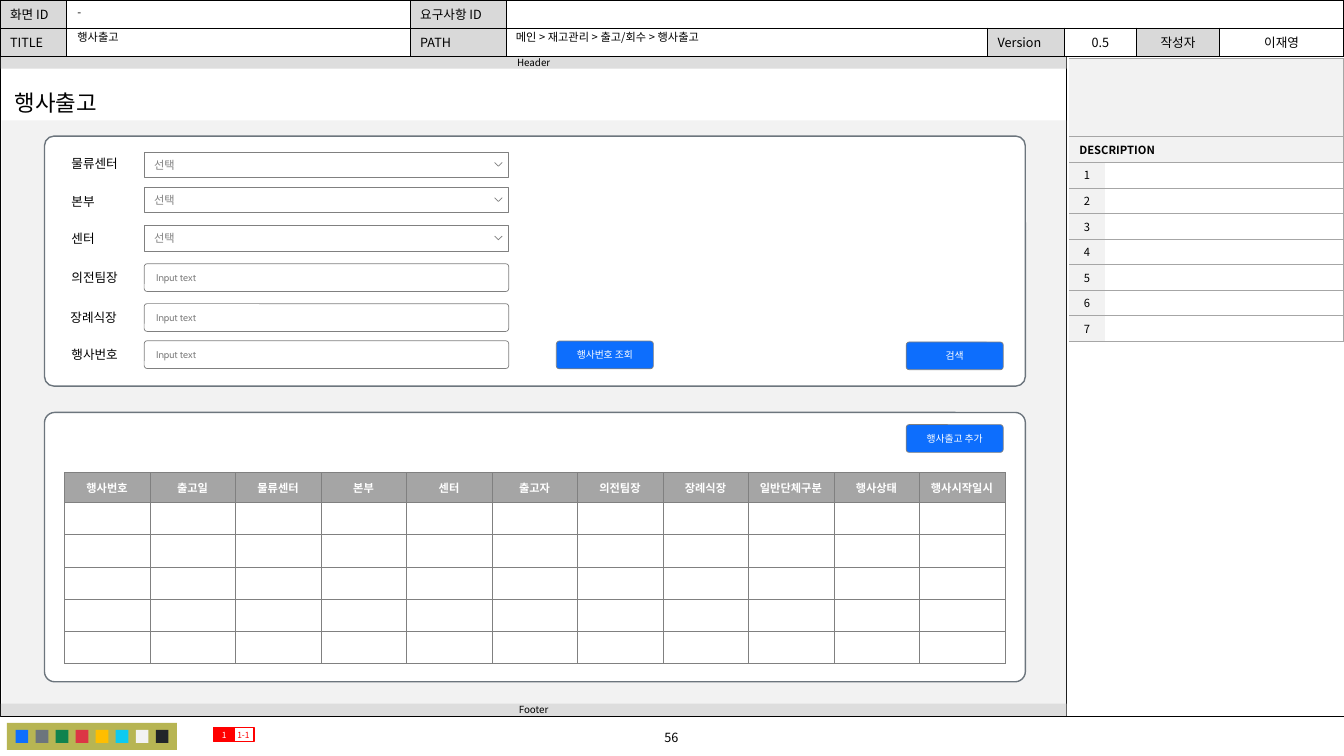
"""Build the event release screen specification slide."""
from lxml import etree
from pptx import Presentation
from pptx.dml.color import RGBColor
from pptx.enum.shapes import MSO_CONNECTOR, MSO_SHAPE
from pptx.enum.text import MSO_ANCHOR, PP_ALIGN
from pptx.oxml.ns import qn
from pptx.util import Pt

RECT, ROUND = MSO_SHAPE.RECTANGLE, MSO_SHAPE.ROUNDED_RECTANGLE
LINE = MSO_CONNECTOR.STRAIGHT
MIDDLE = MSO_ANCHOR.MIDDLE
LEFT, CENTER = PP_ALIGN.LEFT, PP_ALIGN.CENTER
NOTO, CABIN = "Noto Sans CJK KR", "Cabin"

BLACK = RGBColor(0x00, 0x00, 0x00)
WHITE = RGBColor(0xFF, 0xFF, 0xFF)
PALE = RGBColor(0xF2, 0xF2, 0xF2)
BAR = RGBColor(0xDD, 0xDD, 0xDD)
LABEL = RGBColor(0xD9, 0xD9, 0xD9)
HEAD = RGBColor(0xA5, 0xA5, 0xA5)
RULE = RGBColor(0xA6, 0xA6, 0xA6)
GRAY = RGBColor(0x80, 0x80, 0x80)
SLATE = RGBColor(0x6C, 0x75, 0x7D)
BLUE = RGBColor(0x0D, 0x6E, 0xFD)
RED = RGBColor(0xFF, 0x00, 0x00)
OLIVE = RGBColor(0xB7, 0xB5, 0x53)
GREEN = RGBColor(0x10, 0x83, 0x4E)
ROSE = RGBColor(0xDC, 0x35, 0x45)
AMBER = RGBColor(0xFF, 0xBE, 0x00)
CYAN = RGBColor(0x0D, 0xCA, 0xF0)
DARK = RGBColor(0x21, 0x25, 0x29)

deck = Presentation()
deck.slide_width, deck.slide_height = Pt(960), Pt(540)
shapes = deck.slides.add_slide(deck.slide_layouts[6]).shapes


def write(frame, text, size, color=BLACK, align=LEFT, bold=False, name=NOTO):
    para = frame.paragraphs[0]
    para.text, para.alignment = text, align
    font = para.font
    font.size, font.bold, font.name = Pt(size), bold, name
    font.color.rgb = color
    props = para._p.pPr.find(qn("a:defRPr"))
    if props.find(qn("a:ea")) is None:
        etree.SubElement(props, qn("a:ea")).set("typeface", NOTO)
    return para


def box(kind, x, y, w, h, fill=None, line=None, weight=0.5, pad=0, round=0.11):
    place = Pt(x), Pt(y), Pt(w), Pt(h)
    if kind is None:
        frame = shapes.add_textbox(*place).text_frame
    else:
        shape = shapes.add_shape(kind, *place)
        shape.shadow.inherit = False
        if kind == ROUND:
            shape.adjustments[0] = round
        if fill is None:
            shape.fill.background()
        else:
            shape.fill.solid()
            shape.fill.fore_color.rgb = fill
        if line is None:
            shape.line.fill.background()
        else:
            shape.line.color.rgb = line
            shape.line.width = Pt(weight)
        frame = shape.text_frame
    frame.word_wrap = True
    frame.vertical_anchor = MIDDLE
    frame.margin_left = frame.margin_right = Pt(pad)
    frame.margin_top = frame.margin_bottom = 0
    return frame


box(RECT, 0, 39.6, 960, 472.3, line=BLACK, weight=0.25)
rail = shapes.add_connector(LINE, Pt(761.8), Pt(40.3), Pt(761.8), Pt(511.9))
rail.line.color.rgb, rail.line.width = BLACK, Pt(0.5)
etree.SubElement(rail._element.spPr, qn("a:effectLst"))

box(RECT, 5, 516.4, 121.3, 19.3, OLIVE)
for i, tint in enumerate([BLUE, SLATE, GREEN, ROSE, AMBER, CYAN, PALE, DARK]):
    box(RECT, 11.2 + 14.3 * i, 521.4, 9, 9.3, tint)

box(RECT, 1.2, 86, 760.4, 425.2, PALE)
for y, text in [(502.6, "Footer"), (40.3, "Header")]:
    write(box(RECT, 0.7, y, 761, 8.8, BAR), text, 7, align=CENTER)
for y, h in [(97.2, 178.6), (294.6, 192.4)]:
    box(ROUND, 31.8, y, 700.6, h, WHITE, SLATE, 1, round=0.038)

grids = [
    (0, 0, [47.5, 245.5, 69, 343.5, 54.5, 52, 59, 89], [20] * 2,
     BLACK, 0.5, "LRTB", 7.2),
    (763.7, 41.6, [25.3, 170.6], [56] + [18.3] * 8, RULE, 0.5, "RTB", 0),
    (46, 337.3, [61.07] * 11, [21.6] + [23] * 5, GRAY, 0.25, "LRTB", 4),
]
tables = []
for x, y, cols, rows, edge, weight, sides, pad in grids:
    table = shapes.add_table(len(rows), len(cols), Pt(x), Pt(y),
                             Pt(sum(cols)), Pt(sum(rows))).table
    table.first_row = table.horz_banding = False
    for col, width in zip(table.columns, cols):
        col.width = Pt(width)
    for row, height in zip(table.rows, rows):
        row.height = Pt(height)
    for cell in table.iter_cells():
        props = cell._tc.get_or_add_tcPr()
        for side in "LRTB":
            ln = etree.SubElement(props, qn("a:ln" + side), w=str(Pt(weight)))
            if side in sides:
                ink = etree.SubElement(ln, qn("a:solidFill"))
                etree.SubElement(ink, qn("a:srgbClr"), val=str(edge))
            else:
                etree.SubElement(ln, qn("a:noFill"))
        cell.fill.solid()
        cell.fill.fore_color.rgb = WHITE
        cell.vertical_anchor = MIDDLE
        cell.margin_left = cell.margin_right = Pt(pad)
        cell.margin_top = cell.margin_bottom = 0
        write(cell.text_frame, "", 8)
    tables.append(table)
info, notes, data = tables

info.cell(0, 3).merge(info.cell(0, 7))
facts = [["화면 ID", "", "요구사항 ID"],
         ["TITLE", "", "PATH", "", "Version", "0.5", "작성자", "이재영"]]
for r, row in enumerate(facts):
    for c, text in enumerate(row):
        cell = info.cell(r, c)
        write(cell.text_frame, text, 9, align=CENTER if c > 4 else LEFT)
        if c % 2 == 0:
            cell.fill.fore_color.rgb = LABEL

for r in range(9):
    cell = notes.cell(r, 0)
    cell.fill.fore_color.rgb = PALE
    if r < 2:
        cell.merge(notes.cell(r, 1))
    else:
        write(cell.text_frame, str(r - 1), 8, align=CENTER)
title = notes.cell(1, 0)
title.margin_left = Pt(7.2)
write(title.text_frame, "DESCRIPTION", 8, bold=True)

heads = ["행사번호", "출고일", "물류센터", "본부", "센터", "출고자", "의전팀장",
         "장례식장", "일반단체구분", "행사상태", "행사시작일시"]
for c, text in enumerate(heads):
    cell = data.cell(0, c)
    cell.fill.fore_color.rgb = HEAD
    write(cell.text_frame, text, 8, WHITE, CENTER, True)

for x, y, w, h, text in [
    (361.4, 18.7, 341.3, 16.6, "메인 > 재고관리 > 출고/회수 > 행사출고"),
    (48.2, 0.7, 244.8, 16.6, "-"),
    (48.2, 20.2, 243.4, 14.4, "행사출고"),
]:
    write(box(None, x, y, w, h, pad=7.2), text, 8).line_spacing = 0.9

write(box(None, 386.6, 517.7, 185.8, 18, pad=7.2), "56", 9, align=CENTER)
for x, fill, color, text in [(166.3, None, RED, "1-1"), (152.6, RED, WHITE, "1")]:
    write(box(RECT, x, 519.8, 15.1, 10.1, fill, RED, 1), text, 6, color, CENTER)
name = box(None, 3.6, 59.8, 79.2, 26.6, pad=7.2)
name.word_wrap = False
write(name, "행사출고", 16)

for x, y, text in [
    (43.9, 108, "물류센터"), (43.9, 134.6, "본부"), (43.9, 161.3, "센터"),
    (43.9, 189.4, "의전팀장"), (43.2, 217.4, "장례식장"), (43.9, 244.1, "행사번호"),
]:
    write(box(None, x, y, 54, 18, pad=7.2), text, 9)

for y in [108.7, 133.9, 161.3]:
    write(box(RECT, 103, y, 259.9, 18, WHITE, GRAY, pad=7.2),
          "선택", 8, GRAY, name=CABIN)
    pen = shapes.build_freeform(Pt(358.7), Pt(y + 7.3))
    pen.add_line_segments([(Pt(356), Pt(y + 10)), (Pt(353.3), Pt(y + 7.3))],
                          close=False)
    arrow = pen.convert_to_shape()
    arrow.shadow.inherit = False
    arrow.fill.solid()
    arrow.fill.fore_color.rgb = WHITE
    arrow.line.color.rgb, arrow.line.width = GRAY, Pt(0.5)

for y in [188.4, 216.9, 243.4]:
    write(box(ROUND, 103, y, 260.4, 19.8, WHITE, GRAY, pad=7.9),
          "Input text", 7, GRAY, name=CABIN)
for x, y, text in [(397.4, 243.6, "행사번호 조회"), (647.3, 244.3, "검색"),
                   (647.3, 303.3, "행사출고 추가")]:
    write(box(ROUND, x, y, 69.3, 19.8, BLUE, GRAY, pad=7.9),
          text, 7, WHITE, CENTER, name=CABIN)

deck.save("out.pptx")
